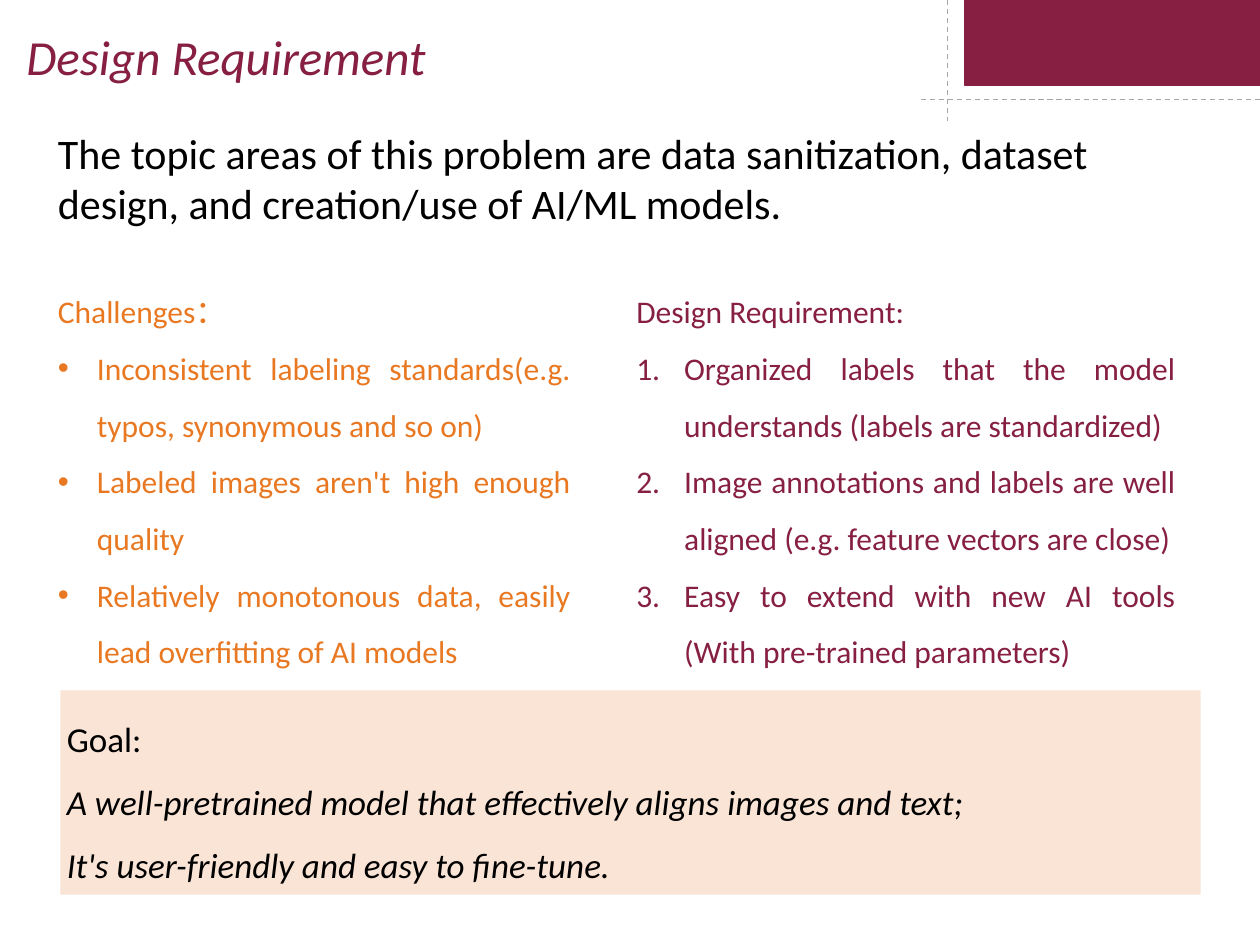
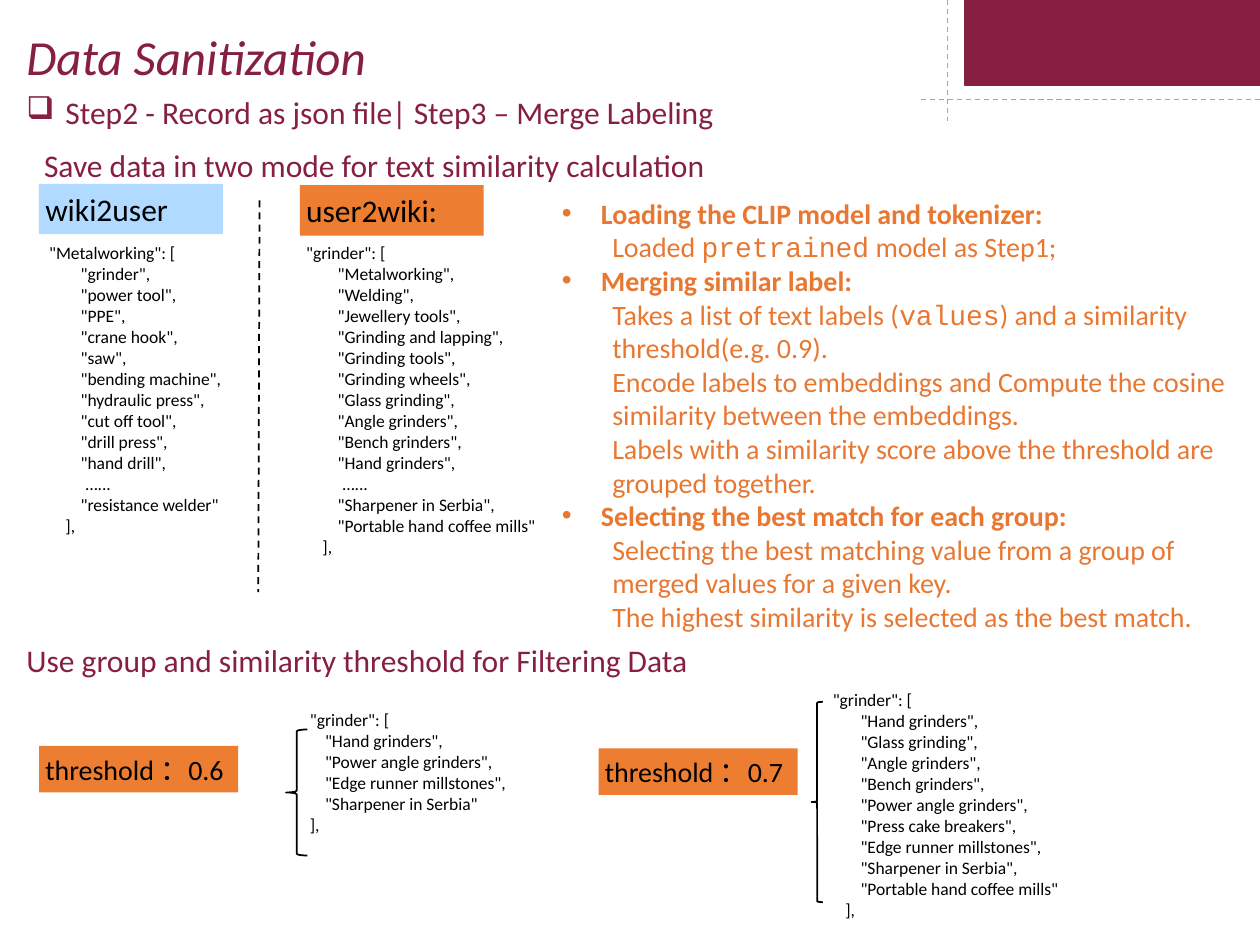
from dataclasses import dataclass

from lxml import etree
from pptx import Presentation
from pptx import util as u
from pptx.dml.color import RGBColor
from pptx.enum import dml, shapes, text
from pptx.oxml import ns


# Colours, fonts and type sizes
@dataclass(frozen=True)
class Theme:
    maroon: str = "861F41"
    orange: str = "E87822"
    steps_orange: str = "E87731"
    tag_orange: str = "ED7D31"
    tag_blue: str = "B0DAFF"
    peach: str = "FAE4D6"
    grey: str = "A5A5A5"
    black: str = "000000"
    font: str = "Calibri"
    code_font: str = "Courier New"
    title: int = 28
    lead: int = 24
    goal: int = 20
    heading: int = 18
    body: int = 16
    listing: int = 10
    inset: float = 0.05


T = Theme()
TITLE_BOX = (0.16, 0.16, 3.91, 0.57)
ITEM_INDENT, CLOSE_INDENT, ELLIPSIS_INDENT = 0.25, 0.13, 0.29


@dataclass
class Para:
    words: str  # parts between backticks are set in the code font
    indent: float = 0
    hang: float = 0
    bullet: str = ""
    bold: bool = False
    italic: bool = False


def bulleted(words, indent=0.31, bullet="•", **style):
    return Para(words, indent, indent, bullet, **style)


def rgb(value):
    return RGBColor.from_string(value)


def inches(*values):
    return [u.Inches(value) for value in values]


# Text
def indent_para(para, spec_para):
    props = para._p.get_or_add_pPr()
    props.set("marL", str(u.Inches(spec_para.indent)))
    props.set("indent", str(-u.Inches(spec_para.hang)))
    if spec_para.bullet == "1.":
        etree.SubElement(props, ns.qn("a:buAutoNum"), type="arabicPeriod")
    elif spec_para.bullet:
        if spec_para.bullet == "•":
            etree.SubElement(props, ns.qn("a:buFont"), typeface="Arial")
        etree.SubElement(props, ns.qn("a:buChar"), char=spec_para.bullet)
    else:
        etree.SubElement(props, ns.qn("a:buNone"))


def write(frame, paras, size, color, align=text.PP_ALIGN.LEFT, spacing=None):
    frame_format = {
        "word_wrap": True,
        "auto_size": text.MSO_AUTO_SIZE.NONE,
        "vertical_anchor": text.MSO_ANCHOR.TOP,
    }
    for side in ("left", "top", "right", "bottom"):
        frame_format[f"margin_{side}"] = u.Inches(T.inset)
    for key, value in frame_format.items():
        setattr(frame, key, value)

    for number, content in enumerate(paras):
        para = frame.add_paragraph() if number else frame.paragraphs[0]
        para.alignment = align
        if spacing:
            para.line_spacing = spacing
        indent_para(para, content)
        for part, words in enumerate(content.words.split("`")):
            run = para.add_run()
            run.text = words
            run_format = {
                "name": T.code_font if part % 2 else T.font,
                "size": u.Pt(size),
                "bold": content.bold,
                "italic": content.italic,
            }
            for key, value in run_format.items():
                setattr(run.font, key, value)
            run.font.color.rgb = rgb(color)


def add_text(slide, box, paras, size, color, **layout):
    area = slide.shapes.add_textbox(*inches(*box))
    write(area.text_frame, paras, size, color, **layout)


# Shapes and lines
def add_block(slide, box, fill=None, line=None,
              kind=shapes.MSO_SHAPE.RECTANGLE):
    block = slide.shapes.add_shape(kind, *inches(*box))
    block.shadow.inherit = False
    if fill:
        block.fill.solid()
        block.fill.fore_color.rgb = rgb(fill)
    else:
        block.fill.background()
    if line:
        block.line.color.rgb = rgb(line)
        block.line.width = u.Pt(1)
    else:
        block.line.fill.background()
    return block


def add_dashed(slide, start, end, color, width):
    rule = slide.shapes.add_connector(
        shapes.MSO_CONNECTOR.STRAIGHT, *inches(*start, *end))
    rule.line.color.rgb = rgb(color)
    rule.line.width = u.Pt(width)
    rule.line.dash_style = dml.MSO_LINE.DASH
    etree.SubElement(rule._element.spPr, ns.qn("a:effectLst"))


def add_tag(slide, box, label, fill, size):
    tag = add_block(slide, box, fill)
    write(tag.text_frame, [Para(label)], size, T.black)


# Parts on every slide: corner band, dashed guides, title
def start_slide(deck, title):
    slide = deck.slides.add_slide(deck.slide_layouts[5])
    add_block(slide, (7.66, 0, 2.34, 0.68), T.maroon, T.maroon)
    add_dashed(slide, (7.52, 0), (7.52, 0.96), T.grey, 0.75)
    add_dashed(slide, (7.31, 0.79), (10, 0.79), T.grey, 0.75)

    heading = slide.shapes.title
    heading.left, heading.top, heading.width, heading.height = inches(*TITLE_BOX)
    write(heading.text_frame, [Para(title, italic=True)], T.title, T.maroon)
    return slide


# Heading with a justified list below it
def add_point_column(slide, box, heading, points, color, **bullet):
    paras = [Para(heading)] + [bulleted(point, **bullet) for point in points]
    add_text(slide, box, paras, T.heading, color,
             align=text.PP_ALIGN.JUSTIFY, spacing=1.5)


def add_goal(slide, box):
    panel = add_block(slide, box, T.peach)
    write(panel.text_frame, [
        Para("Goal:"),
        Para("A well-pretrained model that effectively aligns images and text;",
             italic=True),
        Para("It's user-friendly and easy to fine-tune.", italic=True),
    ], T.goal, T.black, spacing=1.5)


# JSON entry: key, quoted labels, closing bracket
def add_json(slide, box, key, labels, key_indent=0.0):
    paras = [Para(f'"{key}": [', key_indent)]
    for number, label in enumerate(labels, 1):
        if label.startswith("…"):
            paras.append(Para(label, ELLIPSIS_INDENT))
        else:
            comma = "," if number < len(labels) else ""
            paras.append(Para(f'"{label}"{comma}', ITEM_INDENT))
    paras.append(Para("],", CLOSE_INDENT))
    add_text(slide, box, paras, T.listing, T.black)


# Threshold tag, brace and the labels it keeps
def add_threshold(slide, box, value, brace, entry, labels, key_indent):
    left, top, width, height = box

    def inside(part):
        return (left + part[0], top + part[1], *part[2:])

    add_tag(slide, (left, top, width, height), f"threshold ：{value}",
            T.tag_orange, T.body)
    add_block(slide, inside(brace), line=T.black,
              kind=shapes.MSO_SHAPE.LEFT_BRACE)
    add_json(slide, inside(entry), "grinder", labels, key_indent)


def add_merge_steps(slide, box):
    steps = {
        "Loading the CLIP model and tokenizer:": [
            "Loaded `pretrained` model as Step1;"],
        "Merging similar label:": [
            "Takes a list of text labels (`values`) and a similarity "
            "threshold(e.g. 0.9).",
            "Encode labels to embeddings and Compute the cosine similarity "
            "between the embeddings.",
            "Labels with a similarity score above the threshold are grouped "
            "together."],
        "Selecting the best match for each group:": [
            "Selecting the best matching value from a group of merged values "
            "for a given key.",
            "The highest similarity is selected as the best match."],
    }
    paras = []
    for step, details in steps.items():
        paras.append(bulleted(step, bold=True))
        paras += [Para(detail, 0.4) for detail in details]
    add_text(slide, box, paras, T.body, T.steps_orange)


def build_requirements(deck):
    slide = start_slide(deck, "Design Requirement")
    add_text(slide, (0.41, 0.96, 8.78, 0.91), [Para(
        "The topic areas of this problem are data sanitization, dataset "
        "design, and creation/use of AI/ML models.")], T.lead, T.black)
    add_point_column(slide, (0.41, 2.12, 4.17, 3.28), "Challenges：", [
        "Inconsistent labeling standards(e.g. typos, synonymous and so on)",
        "Labeled images aren't high enough quality",
        "Relatively monotonous data, easily lead overfitting of AI models",
    ], T.orange)
    add_point_column(slide, (5, 2.12, 4.38, 3.58), "Design Requirement:", [
        "Organized labels that the model understands (labels are standardized)",
        "Image annotations and labels are well aligned (e.g. feature vectors "
        "are close)",
        "Easy to extend with new AI tools (With pre-trained parameters)",
    ], T.maroon, indent=0.38, bullet="1.")
    add_goal(slide, (0.48, 5.48, 9.05, 1.62))


def build_sanitization(deck):
    slide = start_slide(deck, "Data Sanitization")

    # Section headings
    headings = [
        ((0.16, 0.69, 6.17, 0.4), bulleted(
            "Step2 - Record as json file| Step3 – Merge Labeling", bullet="❑")),
        ((0.3, 1.11, 7.47, 0.4), Para(
            "Save data in two mode for text similarity calculation")),
        ((0.16, 5.04, 5.79, 0.4), Para(
            "Use group and similarity threshold for Filtering Data")),
    ]
    for box, heading in headings:
        add_text(slide, box, [heading], T.heading, T.maroon)

    # Two ways of saving the labels
    add_tag(slide, (0.31, 1.46, 1.46, 0.4), "wiki2user", T.tag_blue, T.heading)
    add_json(slide, (0.34, 1.87, 1.7, 2.46), "Metalworking", [
        "grinder", "power tool", "PPE", "crane hook", "saw", "bending machine",
        "hydraulic press", "cut off tool", "drill press", "hand drill", "…...",
        "resistance welder"])
    add_dashed(slide, (2.06, 1.59), (2.05, 4.7), T.black, 1)
    add_tag(slide, (2.38, 1.47, 1.46, 0.4), "user2wiki:", T.tag_orange,
            T.heading)
    add_json(slide, (2.38, 1.87, 2.1, 2.79), "grinder", [
        "Metalworking", "Welding", "Jewellery tools", "Grinding and lapping",
        "Grinding tools", "Grinding wheels", "Glass grinding",
        "Angle grinders", "Bench grinders", "Hand grinders", "…...",
        "Sharpener in Serbia", "Portable hand coffee mills"])

    add_merge_steps(slide, (4.41, 1.51, 5.46, 3.9))

    # Labels left at each threshold
    add_threshold(slide, (0.31, 5.92, 1.58, 0.37), "0.6",
                  (1.96, -0.13, 0.17, 1), (1.97, -0.34, 2.1, 1.11), [
        "Hand grinders", "Power angle grinders", "Edge runner millstones",
        "Sharpener in Serbia"], CLOSE_INDENT)
    add_threshold(slide, (4.75, 5.94, 1.58, 0.37), "0.7",
                  (1.69, -0.37, 0.09, 1.59), (1.78, -0.52, 1.96, 1.95), [
        "Hand grinders", "Glass grinding", "Angle grinders", "Bench grinders",
        "Power angle grinders", "Press cake breakers",
        "Edge runner millstones", "Sharpener in Serbia",
        "Portable hand coffee mills"], 0.03)


def main():
    deck = Presentation()
    deck.slide_width, deck.slide_height = inches(10, 7.5)
    build_requirements(deck)
    build_sanitization(deck)
    deck.save("out.pptx")


if __name__ == "__main__":
    main()
